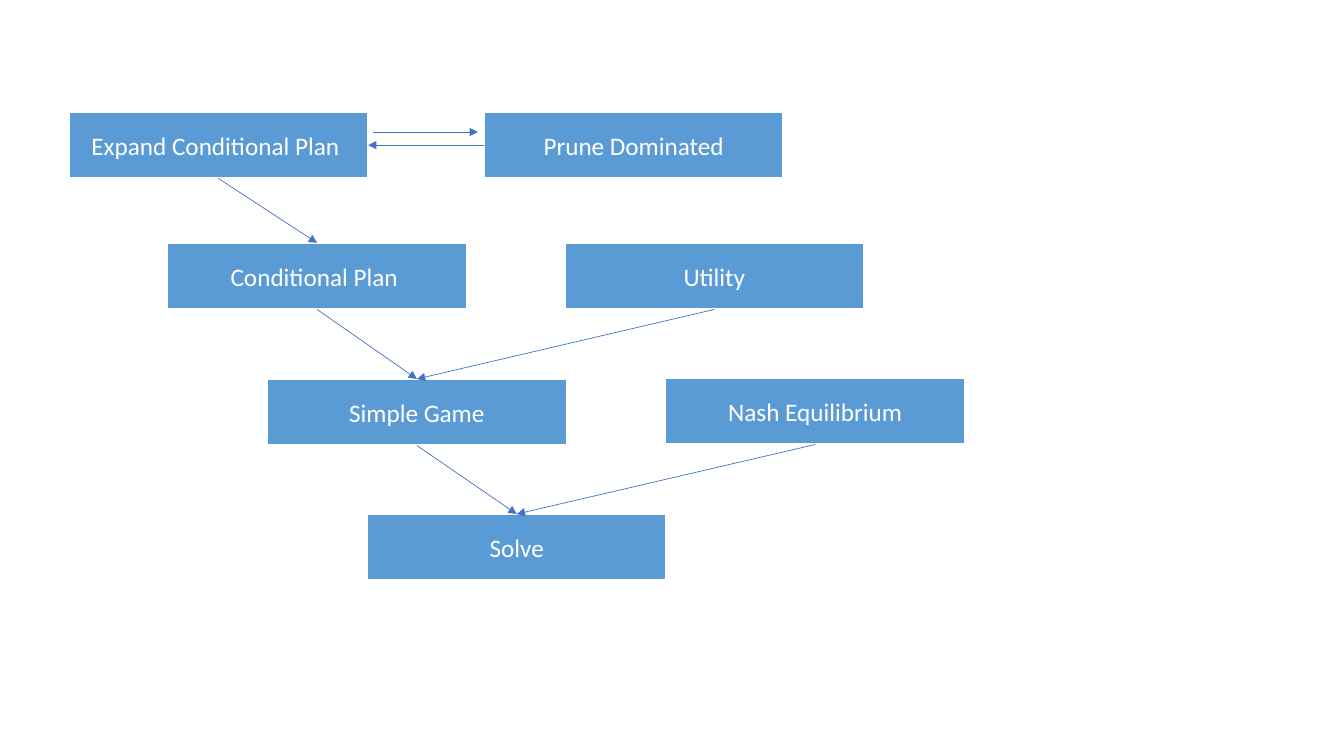
from dataclasses import dataclass

from lxml.etree import SubElement
from pptx import Presentation
from pptx.dml.color import RGBColor
from pptx.enum.shapes import MSO_CONNECTOR, MSO_SHAPE
from pptx.enum.text import MSO_ANCHOR, PP_ALIGN
from pptx.oxml.ns import qn
from pptx.shapes.autoshape import Shape
from pptx.shapes.connector import Connector
from pptx.slide import Slide
from pptx.util import Emu, Pt

PX = 9144  # 100 px to the inch
STEP_WIDTH, STEP_HEIGHT = 297, 66
TOP, LEFT, BOTTOM, RIGHT = range(4)
STEP_FILL, WHITE, ARROW_BLUE = "5B9BD5", "FFFFFF", "4472C4"


@dataclass(frozen=True)
class Step:
    label: str
    left: int
    top: int


@dataclass(frozen=True)
class Flow:
    source: str
    source_side: int
    target: str
    target_side: int


STEPS = [
    Step("Expand Conditional Plan ", 68, 111),
    Step("Prune Dominated", 480, 111),
    Step("Conditional Plan ", 166, 241),
    Step("Utility", 560, 241),
    Step("Simple Game", 265, 376),
    Step("Nash Equilibrium", 660, 375),
    Step("Solve", 364, 510),
]

FLOWS = [
    Flow("Prune Dominated", LEFT, "Expand Conditional Plan ", RIGHT),
    Flow("Expand Conditional Plan ", BOTTOM, "Conditional Plan ", TOP),
    Flow("Conditional Plan ", BOTTOM, "Simple Game", TOP),
    Flow("Utility", BOTTOM, "Simple Game", TOP),
    Flow("Simple Game", BOTTOM, "Solve", TOP),
    Flow("Nash Equilibrium", BOTTOM, "Solve", TOP),
]


def px(length: int) -> Emu:
    return Emu(length * PX)


def colour(hex_value: str) -> RGBColor:
    return RGBColor.from_string(hex_value)


def draw_step(slide: Slide, step: Step) -> Shape:
    box = slide.shapes.add_shape(
        MSO_SHAPE.RECTANGLE, px(step.left), px(step.top), px(STEP_WIDTH), px(STEP_HEIGHT)
    )
    box.shadow.inherit = False
    box.fill.solid()
    box.fill.fore_color.rgb = colour(STEP_FILL)
    box.line.color.rgb = colour(WHITE)
    box.line.width = Pt(1.5)
    frame = box.text_frame
    frame.word_wrap = True
    frame.vertical_anchor = MSO_ANCHOR.MIDDLE
    paragraph = frame.paragraphs[0]
    paragraph.text = step.label
    paragraph.alignment = PP_ALIGN.CENTER
    paragraph.font.name = "Calibri"
    paragraph.font.size = Pt(18)
    paragraph.font.color.rgb = colour(WHITE)
    return box


def draw_arrow(slide: Slide, x1: int, y1: int, x2: int, y2: int) -> Connector:
    arrow = slide.shapes.add_connector(
        MSO_CONNECTOR.STRAIGHT, px(x1), px(y1), px(x2), px(y2)
    )
    arrow.line.color.rgb = colour(ARROW_BLUE)
    arrow.line.width = Pt(0.5)
    properties = arrow.element.spPr
    SubElement(properties.find(qn("a:ln")), qn("a:tailEnd"), type="triangle")
    SubElement(properties, qn("a:effectLst"))
    return arrow


def draw_flow(slide: Slide, flow: Flow, boxes: dict[str, Shape]) -> None:
    arrow = draw_arrow(slide, 0, 0, 0, 0)
    arrow.begin_connect(boxes[flow.source], flow.source_side)
    arrow.end_connect(boxes[flow.target], flow.target_side)


def main() -> None:
    presentation = Presentation()
    presentation.slide_width = px(1333)
    presentation.slide_height = px(750)
    slide = presentation.slides.add_slide(presentation.slide_layouts[6])

    # Steps of the solving process
    boxes = {step.label: draw_step(slide, step) for step in STEPS}

    # Free arrow from expanding to pruning
    draw_arrow(slide, 370, 131, 474, 131)

    # Arrows joined to the steps
    for flow in FLOWS:
        draw_flow(slide, flow, boxes)

    presentation.save("out.pptx")


if __name__ == "__main__":
    main()
